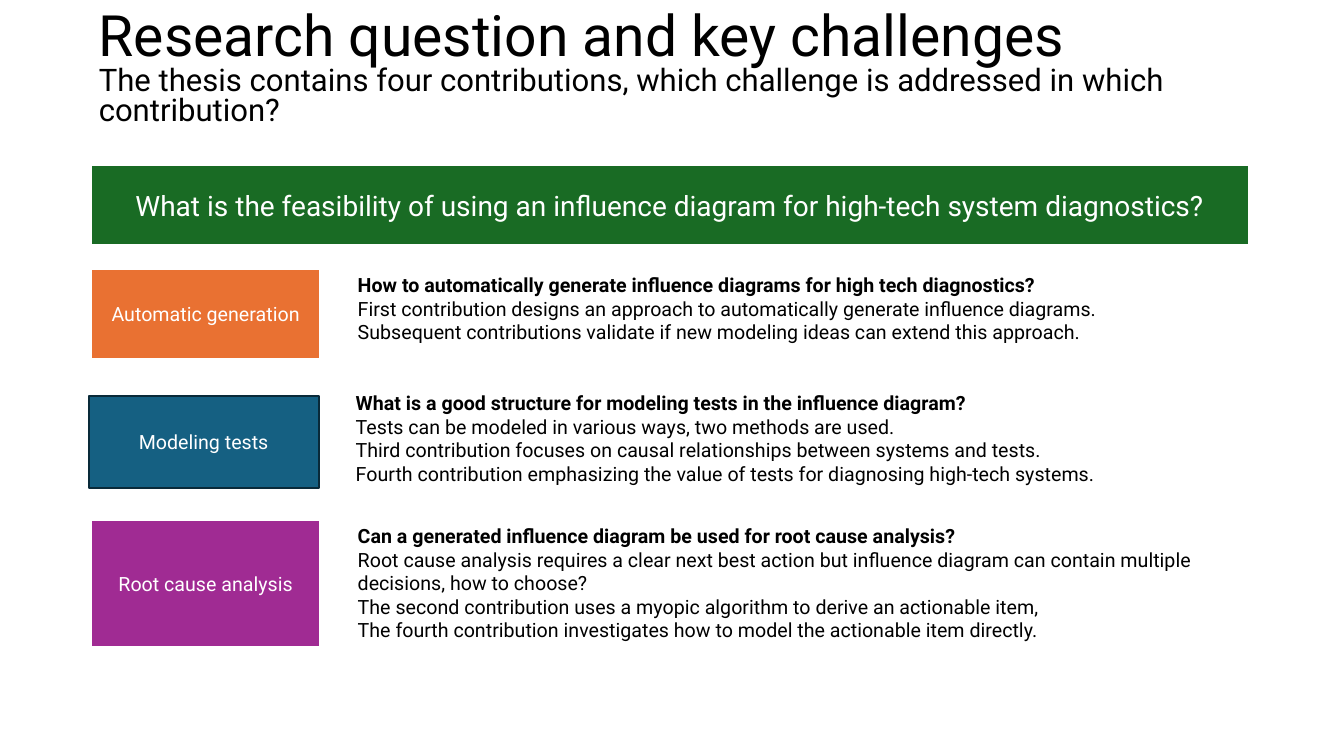
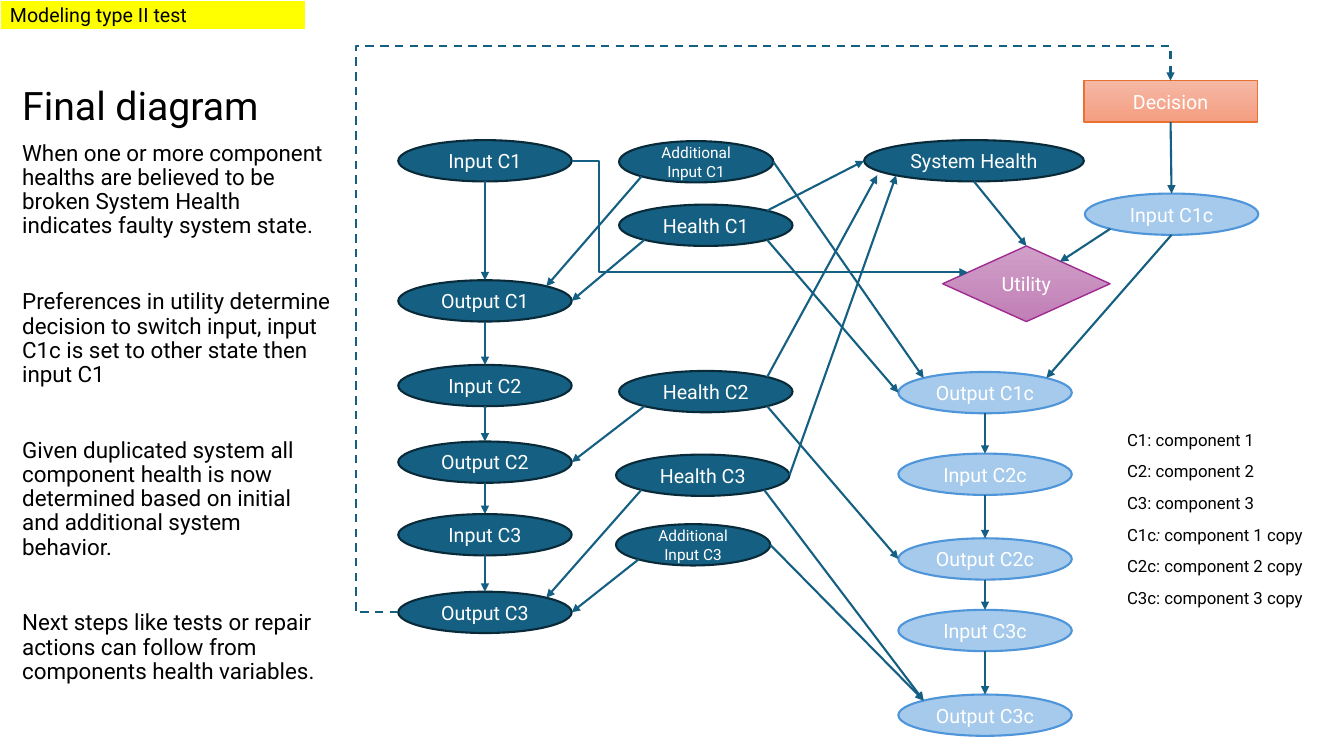
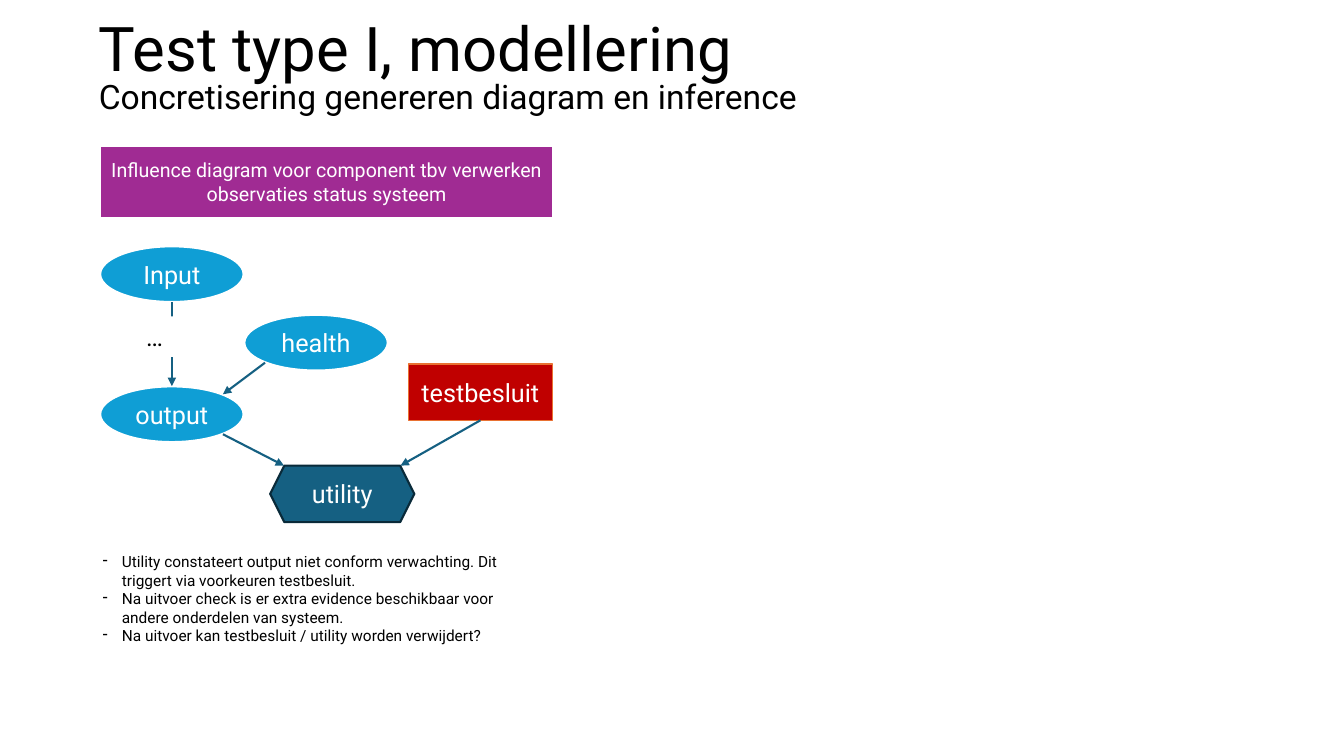
import itertools

import lxml.etree
import pptx
import pptx.dml.color
import pptx.enum.dml
import pptx.enum.shapes
import pptx.enum.text
import pptx.oxml.ns
import pptx.util

FONT = "Roboto"
COLORS = {
    "black": "000000", "white": "FFFFFF", "green": "196B24", "orange": "E97132",
    "purple": "A02B93", "petrol": "156082", "petrol_edge": "092A39",
    "copy": "A6CAEC", "copy_edge": "4E95D9", "sky": "0F9ED5",
    "red": "C00000", "yellow": "FFFF00",
    "decision_top": "F5B8A5", "decision_bottom": "F59E82",
    "utility_top": "D0A0C8", "utility_bottom": "C17FB6",
}
# Each style: fill (one colour, or top and bottom of a gradient), line colour, line width
STYLES = {
    "banner": ("green", "white", 2),
    "generation": ("orange", "white", 2),
    "purple": ("purple", "white", 2),
    "system": ("petrol", "petrol_edge", 1.5),
    "copy": ("copy", "copy_edge", 1.5),
    "decision": (("decision_top", "decision_bottom"), "orange", 1),
    "utility": (("utility_top", "utility_bottom"), "purple", 1),
    "component": ("sky", "white", 2),
    "test": ("red", "orange", 1),
    "tag": ("yellow", "white", 2),
    "blank": ("white", None, 0),
}
SHAPE = pptx.enum.shapes.MSO_SHAPE
ALIGN = pptx.enum.text.PP_ALIGN
ANCHOR = pptx.enum.text.MSO_ANCHOR
# Connection sites: index, share of the width, share of the height
FOUR_SITES = {"n": (0, .5, 0), "w": (1, 0, .5), "s": (2, .5, 1), "e": (3, 1, .5)}
SITES = {
    SHAPE.RECTANGLE: FOUR_SITES,
    SHAPE.DIAMOND: FOUR_SITES,
    SHAPE.OVAL: {
        "n": (0, .5, 0), "nw": (1, .146, .146), "w": (2, 0, .5), "sw": (3, .146, .854),
        "s": (4, .5, 1), "se": (5, .854, .854), "e": (6, 1, .5), "ne": (7, .854, .146),
    },
    SHAPE.HEXAGON: {"nw": (4, .096, 0), "ne": (5, .904, 0)},
}


def rgb(name):
    return pptx.dml.color.RGBColor.from_string(COLORS[name])


def inches(*lengths):
    return [pptx.util.Inches(length) for length in lengths]


def add_xml(parent, tag, **attributes):
    return lxml.etree.SubElement(parent, pptx.oxml.ns.qn(tag), attributes)


def write(frame, paragraphs, size=14, color="black", align=ALIGN.LEFT, anchor=ANCHOR.TOP,
          spacing=None, gap=0, bullet=None, indent=0):
    """Fill a text frame; a paragraph is a string or a list of (text, format) runs."""
    frame.word_wrap = True
    frame.auto_size = pptx.enum.text.MSO_AUTO_SIZE.NONE
    frame.vertical_anchor = anchor
    for number, runs in enumerate(paragraphs):
        paragraph = frame.add_paragraph() if number else frame.paragraphs[0]
        properties = paragraph._p.get_or_add_pPr()
        hanging = pptx.util.Inches(indent)
        properties.set("marL", str(hanging))
        properties.set("indent", str(-hanging))
        paragraph.alignment = align
        paragraph.space_before = pptx.util.Pt(gap if number else 0)
        if spacing:
            paragraph.line_spacing = spacing
        if bullet:
            add_xml(properties, "a:buChar", char=bullet)
        else:
            add_xml(properties, "a:buNone")
        for text, form in [(runs, {})] if isinstance(runs, str) else runs:
            run = paragraph.add_run()
            run.text = text
            run.font.name = FONT
            run.font.size = pptx.util.Pt(form.get("size", size))
            run.font.bold = form.get("bold", False)
            run.font.italic = form.get("italic", False)
            run.font.color.rgb = rgb(color)


def text_box(slide, box, paragraphs, **form):
    write(slide.shapes.add_textbox(*inches(*box)).text_frame, paragraphs, **form)


def fill_placeholder(placeholder, box, paragraphs, **form):
    placeholder.left, placeholder.top, placeholder.width, placeholder.height = inches(*box)
    write(placeholder.text_frame, paragraphs, **form)


def node(slide, box, paragraphs, style, kind=SHAPE.RECTANGLE, **form):
    shape = slide.shapes.add_shape(kind, *inches(*box))
    shape.shadow.inherit = False
    fill, edge, width = STYLES[style]
    if isinstance(fill, tuple):
        shape.fill.gradient()
        shape.fill.gradient_angle = 270
        for stop, color in zip(shape.fill.gradient_stops, fill):
            stop.color.rgb = rgb(color)
    else:
        shape.fill.solid()
        shape.fill.fore_color.rgb = rgb(fill)
    if edge:
        shape.line.color.rgb = rgb(edge)
        shape.line.width = pptx.util.Pt(width)
    else:
        shape.line.fill.background()
    write(shape.text_frame, paragraphs,
          **{"color": "white", "align": ALIGN.CENTER, "anchor": ANCHOR.MIDDLE, **form})
    return shape


def site_point(shape, site):
    """Index and slide position of a site; a pair of shares gives a free point."""
    index, across, down = (SITES[shape.auto_shape_type][site] if isinstance(site, str)
                           else (None, *site))
    return index, (round(shape.left + across * shape.width),
                   round(shape.top + down * shape.height))


def arrow(slide, source, source_site, target, target_site, bends=(), dashed=False):
    """Arrow between two sites; bends are the elbow's shares of its width and height."""
    kinds = pptx.enum.shapes.MSO_CONNECTOR
    start, begin = site_point(source, source_site)
    finish, end = site_point(target, target_site)
    link = slide.shapes.add_connector(kinds.ELBOW if bends else kinds.STRAIGHT, *begin, *end)
    link.line.color.rgb = rgb("petrol")
    link.line.width = pptx.util.Pt(1.5)
    if dashed:
        link.line.dash_style = pptx.enum.dml.MSO_LINE.DASH
    add_xml(link.line._get_or_add_ln(), "a:tailEnd", type="triangle")
    properties = link.element.spPr
    add_xml(properties, "a:effectLst")
    if bends:
        geometry = properties.find(pptx.oxml.ns.qn("a:prstGeom"))
        geometry.set("prst", f"bentConnector{len(bends) + 2}")
        guides = geometry.find(pptx.oxml.ns.qn("a:avLst"))
        if guides is None:
            guides = add_xml(geometry, "a:avLst")
        for number, share in enumerate(bends, 1):
            name = f"adj{number}"
            add_xml(guides, "a:gd", name=name, fmla=f"val {round(share * 100000)}")
    glue = next(link.element.iter(pptx.oxml.ns.qn("p:cNvCxnSpPr")))
    for tag, shape, index in (("a:stCxn", source, start), ("a:endCxn", target, finish)):
        if index is not None:
            add_xml(glue, tag, id=str(shape.shape_id), idx=str(index))


def heading(slide, title, subtitle, size, subtitle_size):
    fill_placeholder(slide.shapes.title, (.88, .18, 11.5, 1.03),
                     [title, [(subtitle, {"size": subtitle_size})]],
                     size=size, anchor=ANCHOR.MIDDLE, spacing=.8)


def challenge(slide, box, label, style, question, answers, shift=(0, 0)):
    """Coloured label with its question and answers to the right."""
    left, top, width, height = box
    node(slide, (left, top, 2.28, height), [label], style)
    text_box(slide, (left + 2.55 + shift[0], top + shift[1], width - 2.55, height),
             [[(question, {"bold": True})], *answers])


def research_slide(deck):
    slide = deck.slides.add_slide(deck.slide_layouts[5])
    heading(slide, "Research question and key challenges",
            "The thesis contains four contributions, which challenge is addressed "
            "in which contribution?", 40.7, 22.2)
    left, width = .9, 11.49
    node(slide, (left, 1.63, width, .81),
         ["What is the feasibility of using an influence diagram for high-tech "
          "system diagnostics?"], "banner", size=20)
    challenge(slide, (left, 2.66, width, .91), "Automatic generation", "generation",
              "How to automatically generate influence diagrams for high tech diagnostics?",
              ["First contribution designs an approach to automatically generate "
               "influence diagrams.",
               "Subsequent contributions validate if new modeling ideas can extend "
               "this approach."])
    challenge(slide, (left - .02, 3.93, width, .91), "Modeling tests", "system",
              "What is a good structure for modeling tests in the influence diagram?",
              ["Tests can be modeled in various ways, two methods are used.",
               "Third contribution focuses on causal relationships between systems "
               "and tests.",
               "Fourth contribution emphasizing the value of tests for diagnosing "
               "high-tech systems."], shift=(0, -.1))
    challenge(slide, (left, 5.16, width, 1.26), "Root cause analysis", "purple",
              "Can a generated influence diagram be used for root cause analysis?",
              ["Root cause analysis requires a clear next best action but influence "
               "diagram can contain multiple decisions, how to choose?",
               "The second contribution uses a myopic algorithm to derive an "
               "actionable item,",
               "The fourth contribution investigates how to model the actionable "
               "item directly."], shift=(0, -.01))


def system_diagram(slide, left, top):
    """Influence diagram of the system, its health nodes and its copied chain."""
    nodes = {}

    def place(name, x, y, style="system", kind=SHAPE.OVAL, width=1.72, height=.41,
              lines=None, size=14):
        nodes[name] = node(slide, (left + x, top + y, width, height), lines or [name],
                           style, kind, size=size)

    chain = {"Input C1": .93, "Output C1": 2.32, "Input C2": 3.16,
             "Output C2": 3.92, "Input C3": 4.64, "Output C3": 5.41}
    copied = {"Output C1c": 3.23, "Input C2c": 4.04, "Output C2c": 4.88,
              "Input C3c": 5.59, "Output C3c": 6.43}
    for name, y in chain.items():
        place(name, .42, y)
    for name, y in copied.items():
        place(name, 5.38, y, "copy")
    for name, x, y in (("Health C1", 2.61, 1.57), ("Health C2", 2.61, 3.22),
                       ("Health C3", 2.58, 4.05)):
        place(name, x, y)
    for component, x, y in (("C1", 2.61, .94), ("C3", 2.58, 4.74)):
        place(f"Additional {component}", x, y, width=1.53, size=11,
              lines=["Additional", f"Input {component}"])
    place("System Health", 5.04, .93, width=2.18)
    place("Decision", 7.22, .34, "decision", SHAPE.RECTANGLE)
    place("Input C1c", 7.23, 1.46, "copy")
    place("Utility", 5.82, 1.98, "utility", SHAPE.DIAMOND, width=1.66, height=.75)

    links = [(a, "s", b, "n") for column in (chain, copied)
             for a, b in itertools.pairwise(column)]
    links += [
        ("Additional C1", "sw", "Output C1", "ne"),
        ("Additional C1", "e", "Output C1c", "nw"),
        ("Additional C3", "sw", "Output C3", "e"),
        ("Additional C3", "e", "Output C3c", "nw"),
        ("Health C1", "sw", "Output C1", "e"),
        ("Health C1", "se", "Output C1c", "w"),
        ("Health C1", "ne", "System Health", "w"),
        ("Health C2", "sw", "Output C2", "e"),
        ("Health C2", "se", "Output C2c", "w"),
        ("Health C2", "ne", "System Health", (.06, .85)),
        ("Health C3", "sw", "Output C3", "ne"),
        ("Health C3", "se", "Output C3c", "nw"),
        ("Health C3", "e", "System Health", "sw"),
        ("System Health", "s", "Utility", "n"),
        ("Decision", "s", "Input C1c", "n"),
        ("Input C1c", "s", "Output C1c", "ne"),
        ("Input C1c", "sw", "Utility", (.7, .21)),
    ]
    for source, source_site, target, target_site in links:
        arrow(slide, nodes[source], source_site, nodes[target], target_site)
    arrow(slide, nodes["Input C1"], "e", nodes["Utility"], (.15, .35), bends=(.07,))
    arrow(slide, nodes["Output C3"], "w", nodes["Decision"], "n",
          bends=(-.055, 1.065), dashed=True)


def legend(slide, left, top, pitch):
    entries = ["C1: component 1", "C2: component 2", "C3: component 3",
               [("C1c", {}), (": ", {"italic": True}), ("component 1 copy", {})],
               "C2c: component 2 copy", "C3c: component 3 copy"]
    for row, entry in enumerate(entries):
        text_box(slide, (left, top + row * pitch, 2.14, .3), [entry], size=12)


def final_diagram_slide(deck):
    slide = deck.slides.add_slide(deck.slide_layouts[1])
    fill_placeholder(slide.shapes.title, (.12, .81, 3.29, .5), ["Final diagram"],
                     size=28, spacing=.9)
    fill_placeholder(slide.placeholders[1], (.12, 1.36, 3.29, 5.99), [
        "When one or more component healths are believed to be broken System Health "
        "indicates faulty system state.",
        "Preferences in utility determine decision to switch input, input C1c is set "
        "to other state then input C1",
        "Given duplicated system all component health is now determined based on "
        "initial and additional system behavior.",
        "Next steps like tests or repair actions can follow from components health "
        "variables."], size=16, spacing=.9, gap=37)
    system_diagram(slide, 3.53, .46)
    legend(slide, 11.08, 4.21, .314)
    node(slide, (0, 0, 3.04, .3), ["Modeling type II test"], "tag",
         color="black", align=ALIGN.LEFT)


def component_diagram(slide, left, top):
    def place(name, x, y, style="component", kind=SHAPE.OVAL):
        return node(slide, (left + x, top + y, 1.43, .56), [name], style, kind, size=18)

    source = place("Input", 0, 0)
    output = place("output", 0, 1.39)
    health = place("health", 1.43, .68)
    test = place("testbesluit", 3.06, 1.17, "test", SHAPE.RECTANGLE)
    utility = place("utility", 1.69, 2.18, "system", SHAPE.HEXAGON)
    arrow(slide, source, "s", output, "n")
    arrow(slide, health, "sw", output, "ne")
    arrow(slide, output, "se", utility, "nw")
    arrow(slide, test, "s", utility, "ne")
    node(slide, (left + .36, top + .7, .65, .4), ["…"], "blank", size=18,
         color="black", align=ALIGN.LEFT, anchor=ANCHOR.TOP)


def test_type_slide(deck):
    slide = deck.slides.add_slide(deck.slide_layouts[5])
    heading(slide, "Test type I, modellering",
            "Concretisering genereren diagram en inference", 44, 24)
    node(slide, (.99, 1.44, 4.5, .73),
         ["Influence diagram voor component tbv verwerken observaties status systeem"],
         "purple")
    component_diagram(slide, .99, 2.44)
    text_box(slide, (.92, 5.43, 4.5, 1.03), [
        "Utility constateert output niet conform verwachting. Dit triggert via "
        "voorkeuren testbesluit.",
        "Na uitvoer check is er extra evidence beschikbaar voor andere onderdelen "
        "van systeem.",
        "Na uitvoer kan testbesluit / utility worden verwijdert?"],
        size=11, bullet="-", indent=.19)


def main():
    deck = pptx.Presentation()
    deck.slide_width, deck.slide_height = inches(13.33, 7.5)
    research_slide(deck)
    final_diagram_slide(deck)
    test_type_slide(deck)
    deck.save("out.pptx")


if __name__ == "__main__":
    main()
